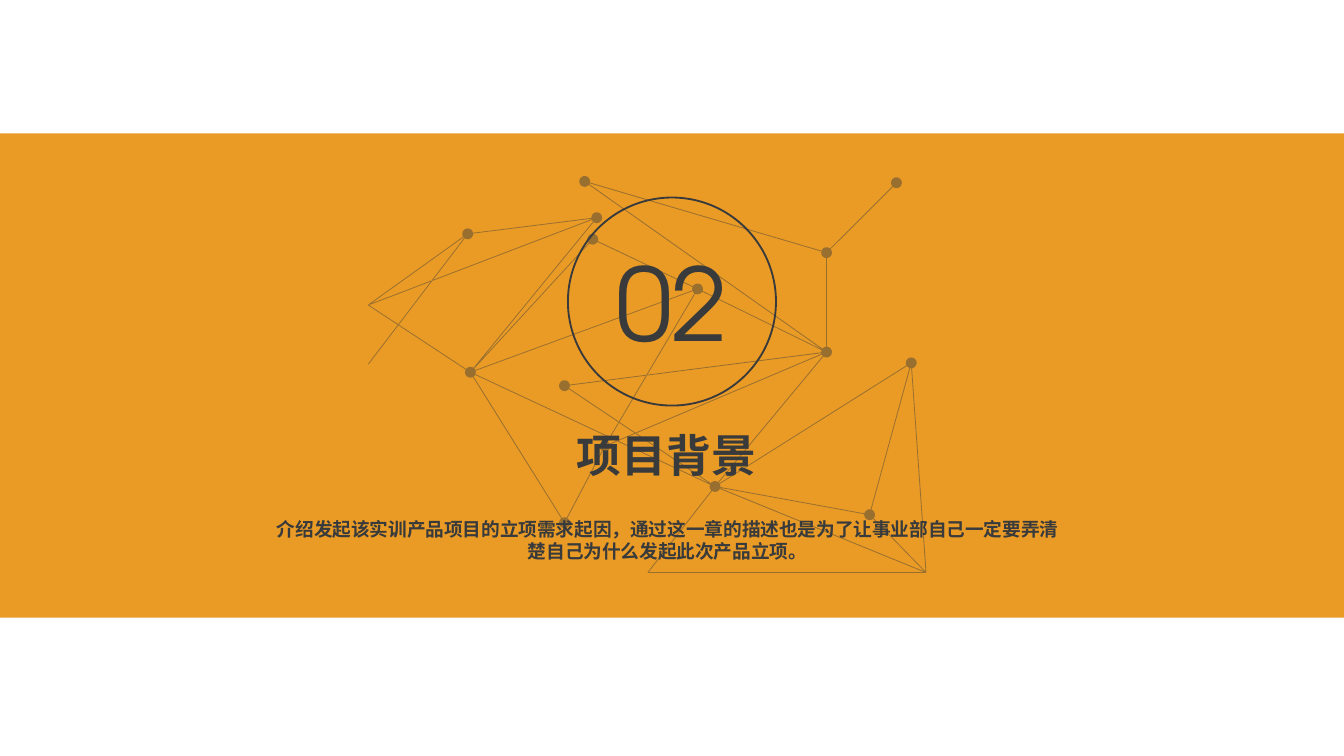
from math import cos, hypot, pi, sin
from typing import NamedTuple

from lxml.etree import SubElement
from pptx import Presentation
from pptx.dml.color import RGBColor
from pptx.enum.shapes import MSO_SHAPE as Shape
from pptx.enum.text import MSO_ANCHOR as Anchor, MSO_AUTO_SIZE as Fit, PP_ALIGN as Align
from pptx.oxml.ns import qn
from pptx.util import Inches, Pt

ORANGE = RGBColor(0xEA, 0x9B, 0x26)
DARK = RGBColor(0x38, 0x3A, 0x3B)
CJK = "Noto Sans CJK SC"
CELL = 0.1  # inches; the slide is 100 columns by 56.25 rows
COLS, ROWS = 100, 56.25
RADIUS, HALF = 0.4, 0.03  # dot radius and half a link's width, in cells


class Point(NamedTuple):
    col: float
    row: float


class Area(NamedTuple):
    col: float
    row: float
    cols: float
    rows: float


class Style(NamedTuple):
    font: str
    size: float
    bold: bool = False


DOTS = {
    "A": Point(43.5, 13.5), "B": Point(66.7, 13.6), "C": Point(44.4, 16.2),
    "D": Point(34.8, 17.4), "E": Point(44.1, 17.8), "F": Point(61.5, 18.8),
    "G": Point(51.9, 21.5), "H": Point(61.5, 26.2), "I": Point(67.8, 27),
    "J": Point(35, 27.7), "K": Point(42, 28.7), "L": Point(45, 33.2),
    "M": Point(53.2, 36.2), "N": Point(64.7, 38.3), "O": Point(42, 38.9),
}
TIPS = {
    "P": Point(27.4, 22.7), "Q": Point(27.4, 27.1),
    "R": Point(48.2, 42.6), "S": Point(68.9, 42.6),
}
LINKS = ("AF AH BF FH CD CP CJ DP DQ EJ EG GH GJ GL LO JP JM JO "
         "KH KM HL HM MI MN MS MR RS IN IS NS").split()


def span(cells: float) -> int:
    return Inches(cells * CELL)


def box(area: Area) -> list[int]:
    return [span(part) for part in area]


def spot(col: float, row: float) -> tuple[int, int]:
    return span(col), span(row)


def ring(dot: Point) -> list[tuple[int, int]]:
    turns = [2 * pi * step / 24 for step in range(24)]
    return [spot(dot.col + RADIUS * cos(turn), dot.row + RADIUS * sin(turn))
            for turn in turns]


def strip(link: str) -> list[tuple[int, int]]:
    """Outline a thin link that stops at the rim of each dot."""
    start, end = [(DOTS | TIPS)[name] for name in link]
    wide, high = end.col - start.col, end.row - start.row
    size = hypot(wide, high)
    ux, uy = wide / size, high / size
    near, far = [RADIUS if name in DOTS else 0 for name in link]
    marks = [(near, HALF), (size - far, HALF), (size - far, -HALF), (near, -HALF)]
    return [spot(start.col + ux * along - uy * off, start.row + uy * along + ux * off)
            for along, off in marks]


def paint(shape, color: RGBColor) -> None:
    shape.shadow.inherit = False
    shape.fill.solid()
    shape.fill.fore_color.rgb = color
    shape.line.fill.background()


def draw_net(shapes) -> None:
    first, *loops = [ring(dot) for dot in DOTS.values()] + [strip(link) for link in LINKS]
    pen = shapes.build_freeform(*first[0])
    pen.add_line_segments(first[1:])
    for loop in loops:
        pen.move_to(*loop[0])
        pen.add_line_segments(loop[1:])
    net = pen.convert_to_shape()
    paint(net, DARK)
    tint = net.fill._xPr.find(f".//{qn('a:srgbClr')}")
    SubElement(tint, qn("a:alpha"), val="45000")


def write(shape, text: str, style: Style, inset: float, anchor: Anchor,
          wrap: bool = True) -> None:
    frame = shape.text_frame
    frame.text = text
    frame.auto_size = Fit.NONE
    frame.word_wrap = wrap
    frame.vertical_anchor = anchor
    frame.margin_left = frame.margin_right = span(inset)
    frame.margin_top = frame.margin_bottom = span(inset)
    line = frame.paragraphs[0]
    line.alignment = Align.CENTER
    font = line.runs[0].font
    font.name, font.size, font.bold = style.font, Pt(style.size), style.bold
    font.color.rgb = DARK
    SubElement(font._element, qn("a:ea"), typeface=CJK)


def main() -> None:
    deck = Presentation()
    deck.slide_width, deck.slide_height = span(COLS), span(ROWS)
    slide = deck.slides.add_slide(deck.slide_layouts[5])
    shapes = slide.shapes
    title = shapes.title

    # Band and network
    paint(shapes.add_shape(Shape.RECTANGLE, *box(Area(0, 9.92, COLS, 36.04))), ORANGE)
    draw_net(shapes)

    # Chapter number
    badge = shapes.add_shape(Shape.OVAL, *box(Area(42.26, 14.7, 15.48, 15.48)))
    badge.shadow.inherit = False
    badge.fill.background()
    badge.line.color.rgb = DARK
    badge.line.width = Pt(1)
    write(badge, "02", Style("TeX Gyre Adventor", 54), 0.5, Anchor.MIDDLE, wrap=False)

    # Title, raised above the band
    title.left, title.top, title.width, title.height = box(Area(29.45, 30.85, 40.3, 5.9))
    write(title, "项目背景", Style("Manrope", 24, True), 0.2, Anchor.MIDDLE)
    shapes._spTree.append(title._element)

    # Summary
    note = shapes.add_textbox(*box(Area(20.2, 38.5, 58.9, 3.4)))
    write(note, "介绍发起该实训产品项目的立项需求起因，通过这一章的描述也是为了让事业部"
          "自己一定要弄清楚自己为什么发起此次产品立项。", Style(CJK, 10, True), 0, Anchor.TOP)

    deck.save("out.pptx")


if __name__ == "__main__":
    main()
